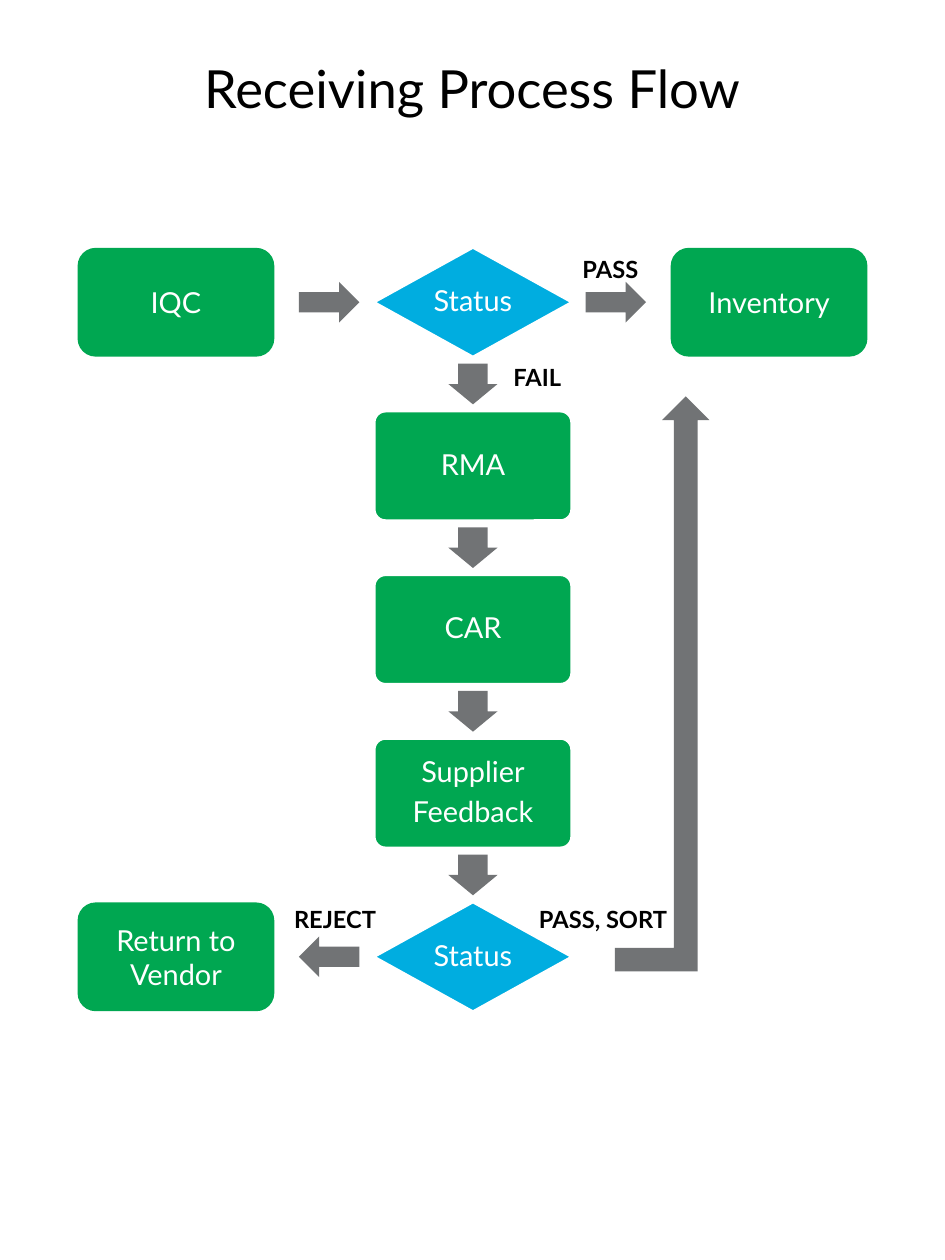
from dataclasses import dataclass

from pptx import Presentation
from pptx.dml.color import RGBColor
from pptx.enum import shapes, text
from pptx.util import Inches, Pt

SHAPE = shapes.MSO_SHAPE
CENTER = text.PP_ALIGN.CENTER


@dataclass(frozen=True)
class Theme:
    font: str = "Lato"
    step: RGBColor = RGBColor(0x00, 0xA7, 0x51)
    decision: RGBColor = RGBColor(0x00, 0xAD, 0xE0)
    arrow: RGBColor = RGBColor(0x71, 0x73, 0x75)
    light: RGBColor = RGBColor(0xFF, 0xFF, 0xFF)
    dark: RGBColor = RGBColor(0x00, 0x00, 0x00)
    title_size: int = 40
    step_size: int = 22
    label_size: int = 18


THEME = Theme()

# Layout in inches: three columns, five rows of equal pitch
BOX_W, BOX_H = 2.08, 1.15
LEFT, MIDDLE, RIGHT = 0.82, 3.96, 7.09
TOP, PITCH = 2.62, 1.73
ARROW_H = 0.43


def row_top(row):
    return TOP + row * PITCH


def style_paragraph(p, size, color, bold=False, align=None):
    p.alignment = align
    p.font.name = THEME.font
    p.font.size = Pt(size)
    p.font.bold = bold
    p.font.color.rgb = color


def add_block(s, kind, x, y, w, h, fill):
    sp = s.shapes.add_shape(kind, Inches(x), Inches(y), Inches(w), Inches(h))
    sp.shadow.inherit = False
    sp.fill.solid()
    sp.fill.fore_color.rgb = fill
    sp.line.fill.background()
    return sp


def add_step(s, kind, x, row, words, fill=THEME.step):
    sp = add_block(s, kind, x, row_top(row), BOX_W, BOX_H, fill)
    tf = sp.text_frame
    tf.word_wrap = True
    tf.vertical_anchor = text.MSO_ANCHOR.MIDDLE
    tf.text = words
    for p in tf.paragraphs:
        style_paragraph(p, THEME.step_size, THEME.light, align=CENTER)
    return sp


def add_middle_step(s, row, words, decision=False):
    if decision:
        sp = add_step(s, SHAPE.FLOWCHART_DECISION, MIDDLE, row, words, THEME.decision)
        sp.text_frame.margin_left = sp.text_frame.margin_right = 0
    else:
        sp = add_step(s, SHAPE.ROUNDED_RECTANGLE, MIDDLE, row, words)
        sp.adjustments[0] = 0.1
    sp.line.color.rgb = THEME.light
    sp.line.width = Pt(1.5)
    for p in sp.text_frame.paragraphs:
        p.line_spacing = 0.9
        p.space_after = Pt(7)


def add_side_arrow(s, x, row, rotation=0):
    y = row_top(row) + (BOX_H - ARROW_H) / 2
    sp = add_block(s, SHAPE.RIGHT_ARROW, x, y, 0.64, ARROW_H, THEME.arrow)
    sp.rotation = rotation


def add_down_arrow(s, row):
    x = MIDDLE + (BOX_W - ARROW_H) / 2
    sp = add_block(s, SHAPE.RIGHT_ARROW, x, row_top(row) + 1.18,
                   ARROW_H, 0.52, THEME.arrow)
    sp.adjustments[0] = 0.6
    sp.rotation = 90


def add_text(s, x, y, w, h, words, size, bold=False, align=None):
    tf = s.shapes.add_textbox(Inches(x), Inches(y), Inches(w), Inches(h)).text_frame
    tf.word_wrap = True
    tf.text = words
    style_paragraph(tf.paragraphs[0], size, THEME.dark, bold, align)


def main():
    prs = Presentation()
    prs.slide_width, prs.slide_height = Inches(9.99), Inches(13.32)
    s = prs.slides.add_slide(prs.slide_layouts[6])

    # Title
    add_text(s, -0.11, 0.54, 10.2, 0.77, "Receiving Process Flow",
             THEME.title_size, align=CENTER)

    # Middle column, with an arrow between neighbours
    column = ["Status", "RMA", "CAR", "Supplier\nFeedback", "Status"]
    last = len(column) - 1
    for row, words in enumerate(column):
        add_middle_step(s, row, words, decision=words == "Status")
        if row < last:
            add_down_arrow(s, row)

    # Side steps
    for x, row, words in [(LEFT, 0, "IQC"), (RIGHT, 0, "Inventory"),
                          (LEFT, last, "Return to Vendor")]:
        add_step(s, SHAPE.ROUNDED_RECTANGLE, x, row, words)

    # Side arrows and the way back to inventory
    add_side_arrow(s, 3.16, 0)
    add_side_arrow(s, 6.19, 0)
    add_side_arrow(s, 3.16, last, rotation=180)
    add_block(s, SHAPE.BENT_UP_ARROW, 6.5, 4.19, 1, 6.08, THEME.arrow)

    # Outcome labels
    for x, y, w, words in [(6.06, 2.64, 0.87, "PASS"), (5.33, 3.79, 0.87, "FAIL"),
                           (3.01, 9.52, 1.19, "REJECT"),
                           (5.6, 9.52, 1.74, "PASS, SORT")]:
        add_text(s, x, y, w, 0.4, words, THEME.label_size, bold=True)

    prs.save("out.pptx")


if __name__ == "__main__":
    main()
